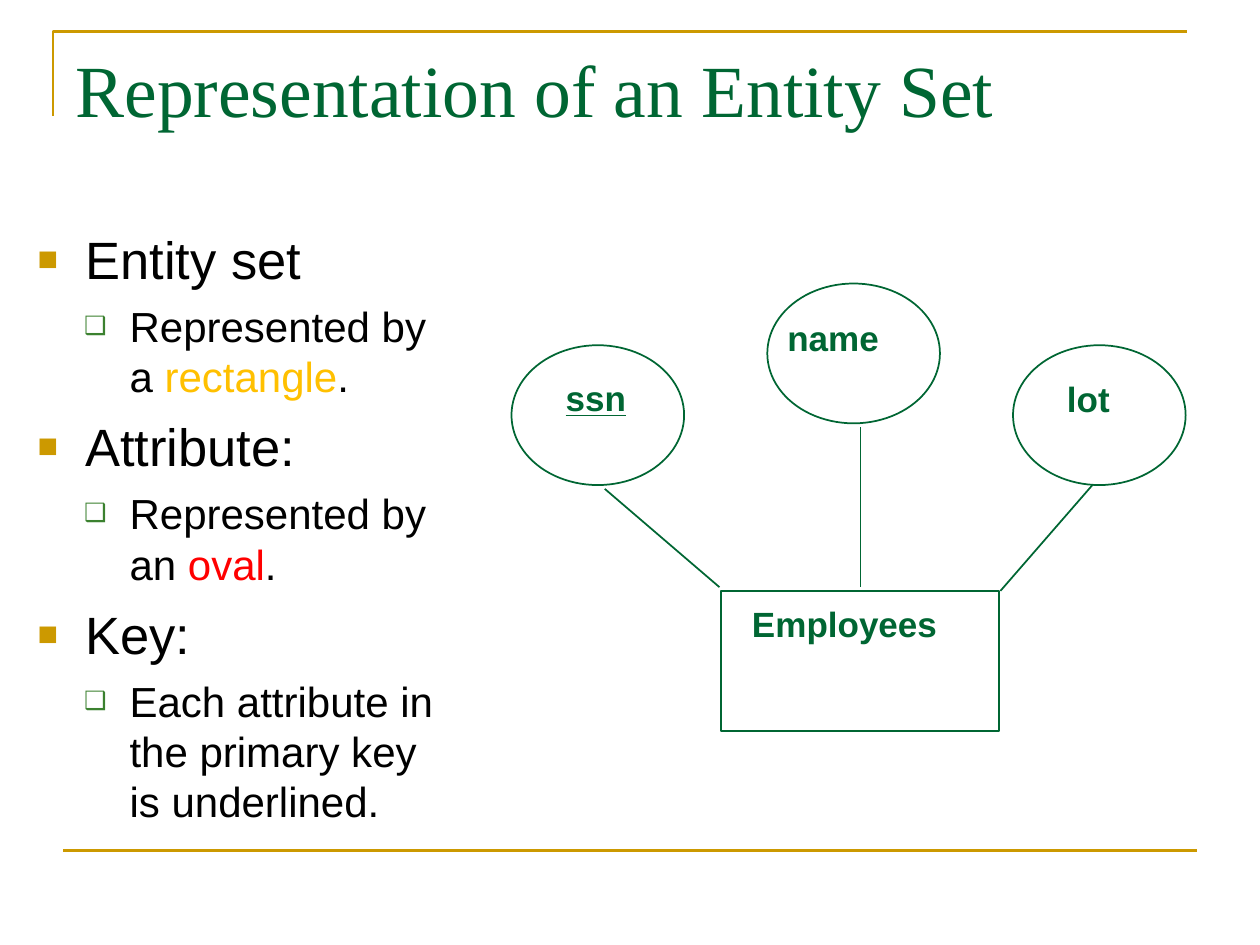
from lxml import etree
from pptx import Presentation
from pptx.dml.color import RGBColor
from pptx.enum.shapes import MSO_CONNECTOR, MSO_SHAPE
from pptx.enum.text import MSO_ANCHOR, MSO_AUTO_SIZE, PP_ALIGN
from pptx.oxml.ns import qn
from pptx.util import Inches, Pt

OVAL, RECTANGLE = MSO_SHAPE.OVAL, MSO_SHAPE.RECTANGLE
STRAIGHT = MSO_CONNECTOR.STRAIGHT
GREEN, GOLD, BLACK = "006633", "CC9900", "000000"

# Content
TITLE = "Representation of an Entity Set"
# Each point: heading, then the runs of its sub-point as (text, colour)
POINTS = [
    ("Entity set",
     [("Represented by a ", BLACK), ("rectangle", "FFC000"), (".", BLACK)]),
    ("Attribute:",
     [("Represented by an ", BLACK), ("oval", "FF0000"), (".", BLACK)]),
    ("Key:",
     [("Each attribute in the primary key is underlined.", BLACK)]),
]
# Bullet, bullet colour, bullet size %, left margin, hanging indent,
# space before, text size
LEVELS = [
    ("■", GOLD, 65, 0.38, 0.38, 7.5, 30),
    ("❑", "3B812F", 60, 0.73, 0.36, 6, 24),
]
OVAL_SIZE = (1.37, 1.11)
# Name, oval left and top, label left, top and width, underlined as key
ATTRIBUTES = [
    ("ssn", (4.06, 2.74), (4.39, 2.94, 0.68), True),
    ("name", (6.09, 2.25), (6.15, 2.46, 0.98), False),
    ("lot", (8.04, 2.74), (8.37, 2.95, 0.54), False),
]
ENTITY = ("Employees", (5.72, 4.69, 2.21, 1.11), (5.87, 4.73, 1.67))
LINKS = [
    ((4.8, 3.88), (5.71, 4.66)),
    ((6.83, 3.39), (6.83, 4.66)),
    ((7.94, 4.69), (8.67, 3.85)),
]
CORNER = [(0.42, 0.92), (0.42, 0.25), (9.42, 0.25)]
FOOT_RULE = ((0.5, 6.75), (9.5, 6.75))


def rgb(value):
    return RGBColor.from_string(value)


def inches(values):
    return [Inches(value) for value in values]


def style_font(font, name, size, colour):
    font.name = name
    font.size = Pt(size)
    font.color.rgb = rgb(colour)


def style_line(shape, colour, width):
    shape.line.color.rgb = rgb(colour)
    shape.line.width = Pt(width)


def add_line(start, end, colour, width):
    line = slide.shapes.add_connector(STRAIGHT, *inches(start + end))
    style_line(line, colour, width)
    etree.SubElement(line._element.spPr, qn("a:effectLst"))


def add_outline(kind, box):
    outline = slide.shapes.add_shape(kind, *inches(box))
    outline.shadow.inherit = False
    outline.fill.background()
    style_line(outline, GREEN, 1)


def add_label(text, place, underlined=False):
    label = slide.shapes.add_textbox(*inches(place + (0.43,)))
    label.text_frame.text = text
    font = label.text_frame.paragraphs[0].runs[0].font
    style_font(font, "Arial", 20, GREEN)
    font.bold = True
    if underlined:
        font.underline = True


def set_bullet(paragraph, bullet, colour, percent, margin, hanging):
    props = paragraph._p.get_or_add_pPr()
    props.set("marL", str(Inches(margin)))
    props.set("indent", str(-Inches(hanging)))
    bullet_colour = etree.SubElement(props, qn("a:buClr"))
    etree.SubElement(bullet_colour, qn("a:srgbClr"), val=colour)
    etree.SubElement(props, qn("a:buSzPct"), val=str(percent * 1000))
    etree.SubElement(props, qn("a:buFont"), typeface="Arial")
    etree.SubElement(props, qn("a:buChar"), char=bullet)


prs = Presentation()
prs.slide_width, prs.slide_height = Inches(10), Inches(7.5)
slide = prs.slides.add_slide(prs.slide_layouts[5])

# Gold frame lines
start, *rest = [tuple(inches(point)) for point in CORNER]
builder = slide.shapes.build_freeform(*start, scale=1.0)
builder.add_line_segments(rest, close=False)
corner = builder.convert_to_shape()
corner.shadow.inherit = False
corner.fill.background()
style_line(corner, GOLD, 1.5)
add_line(*FOOT_RULE, GOLD, 1.5)

# Title
title = slide.shapes.title
title.left, title.top, title.width, title.height = inches((0.5, 0.3, 9, 1.25))
title.text_frame.text = TITLE
title.text_frame.vertical_anchor = MSO_ANCHOR.TOP
title.text_frame.auto_size = MSO_AUTO_SIZE.NONE
heading = title.text_frame.paragraphs[0]
heading.alignment = PP_ALIGN.LEFT
style_font(heading.runs[0].font, "Times New Roman", 42, GREEN)

# Bulleted points
body = slide.shapes.add_textbox(*inches((0.2, 1.75, 3.39, 4.95))).text_frame
body.word_wrap = True
rows = []
for point, detail in POINTS:
    rows += [(0, [(point, BLACK)]), (1, detail)]
for index, (level, runs) in enumerate(rows):
    *bullet, space, size = LEVELS[level]
    paragraph = body.add_paragraph() if index else body.paragraphs[0]
    paragraph.level = level
    set_bullet(paragraph, *bullet)
    if index:
        paragraph.space_before = Pt(space)
    for text, colour in runs:
        run = paragraph.add_run()
        run.text = text
        style_font(run.font, "Arial", size, colour)

# Entity diagram
name, box, place = ENTITY
add_outline(RECTANGLE, box)
add_label(name, place)
for name, corner_at, place, is_key in ATTRIBUTES:
    add_outline(OVAL, corner_at + OVAL_SIZE)
    add_label(name, place, is_key)
for start, end in LINKS:
    add_line(start, end, GREEN, 1)

prs.save("out.pptx")
